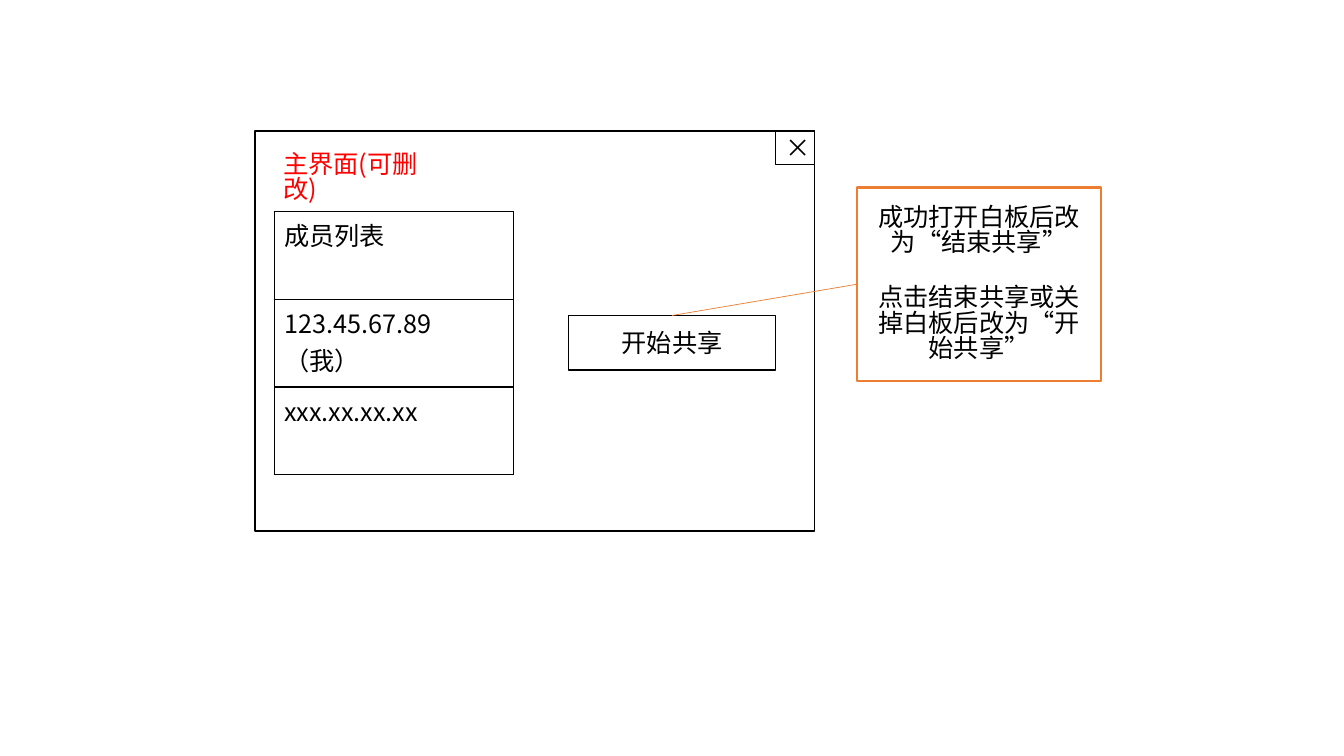
from dataclasses import dataclass

from lxml import etree
from pptx import Presentation
from pptx.dml.color import RGBColor
from pptx.enum import shapes, text
from pptx.oxml import ns
from pptx.util import Inches, Pt

BLACK = RGBColor(0x00, 0x00, 0x00)
WHITE = RGBColor(0xFF, 0xFF, 0xFF)
RED = RGBColor(0xFF, 0x00, 0x00)
ORANGE = RGBColor(0xED, 0x7D, 0x31)
FONT = "Noto Sans CJK SC"
LINE_SPACING = 0.83


@dataclass
class Box:
    left: float
    top: float
    width: float
    height: float
    paragraphs: tuple[str, ...] = ()
    outline: RGBColor = BLACK
    weight: float = 1


def style_text(frame, color: RGBColor = BLACK) -> None:
    for paragraph in frame.paragraphs:
        for run in paragraph.runs:
            run.font.size = Pt(18)
            run.font.name = FONT
            run.font.color.rgb = color
            east_asian = etree.Element(ns.qn("a:ea"), typeface=FONT)
            run.font._element.find(ns.qn("a:latin")).addnext(east_asian)


def draw_box(slide, box: Box):
    shape = slide.shapes.add_shape(
        shapes.MSO_SHAPE.RECTANGLE,
        Inches(box.left), Inches(box.top), Inches(box.width), Inches(box.height),
    )
    shape.shadow.inherit = False
    shape.fill.solid()
    shape.fill.fore_color.rgb = WHITE
    shape.line.color.rgb = box.outline
    shape.line.width = Pt(box.weight)
    frame = shape.text_frame
    frame.word_wrap = True
    frame.vertical_anchor = text.MSO_ANCHOR.MIDDLE
    frame.text = "\n".join(box.paragraphs)
    for paragraph in frame.paragraphs:
        paragraph.alignment = text.PP_ALIGN.CENTER
    style_text(frame)
    return shape


def draw_title(slide) -> None:
    title = slide.shapes.add_textbox(Inches(2.71), Inches(1.45), Inches(1.85), Inches(0.4))
    frame = title.text_frame
    frame.word_wrap = True
    frame.margin_top = Inches(0.07)
    frame.text = "主界面(可删改)"
    frame.paragraphs[0].line_spacing = LINE_SPACING
    style_text(frame, RED)


def add_cell_borders(cell) -> None:
    properties = cell._tc.get_or_add_tcPr()
    for index, side in enumerate(("lnL", "lnR", "lnT", "lnB")):
        border = etree.Element(ns.qn(f"a:{side}"), w=str(Pt(1)))
        fill = etree.SubElement(border, ns.qn("a:solidFill"))
        etree.SubElement(fill, ns.qn("a:srgbClr"), val=str(BLACK))
        properties.insert(index, border)


def draw_members(slide, members: tuple[str, ...]) -> None:
    table = slide.shapes.add_table(
        len(members), 1, Inches(2.72), Inches(2.1), Inches(2.37), Inches(0.87 * len(members))
    ).table
    table.first_row = False
    table.horz_banding = False
    for row, member in enumerate(members):
        cell = table.cell(row, 0)
        cell.text_frame.text = member
        cell.fill.background()
        style_text(cell.text_frame)
        add_cell_borders(cell)


def draw_leader(slide, button, callout) -> None:
    leader = slide.shapes.add_connector(
        shapes.MSO_CONNECTOR.STRAIGHT,
        button.left + button.width // 2, button.top,
        callout.left, callout.top + callout.height // 2,
    )
    leader.line.color.rgb = ORANGE
    leader.line.width = Pt(0.5)
    etree.SubElement(leader._element.spPr, ns.qn("a:effectLst"))


def main() -> None:
    deck = Presentation()
    deck.slide_width, deck.slide_height = Inches(13.33), Inches(7.5)
    slide = deck.slides.add_slide(deck.slide_layouts[6])

    draw_box(slide, Box(2.53, 1.3, 5.55, 3.97))
    draw_title(slide)
    draw_members(slide, ("成员列表", "123.45.67.89 （我）", "xxx.xx.xx.xx"))
    button = draw_box(slide, Box(5.64, 3.13, 2.05, 0.54, ("开始共享",)))
    draw_box(slide, Box(7.69, 1.3, 0.39, 0.33, ("×",)))
    callout = draw_box(slide, Box(
        8.5, 1.86, 2.42, 1.92,
        ("成功打开白板后改为“结束共享”", "点击结束共享或关掉白板后改为“开始共享”"),
        ORANGE, 1.5,
    ))
    for paragraph in callout.text_frame.paragraphs:
        paragraph.line_spacing = LINE_SPACING
    callout.text_frame.paragraphs[1].space_before = Pt(21.6)
    draw_leader(slide, button, callout)

    deck.save("out.pptx")


main()
